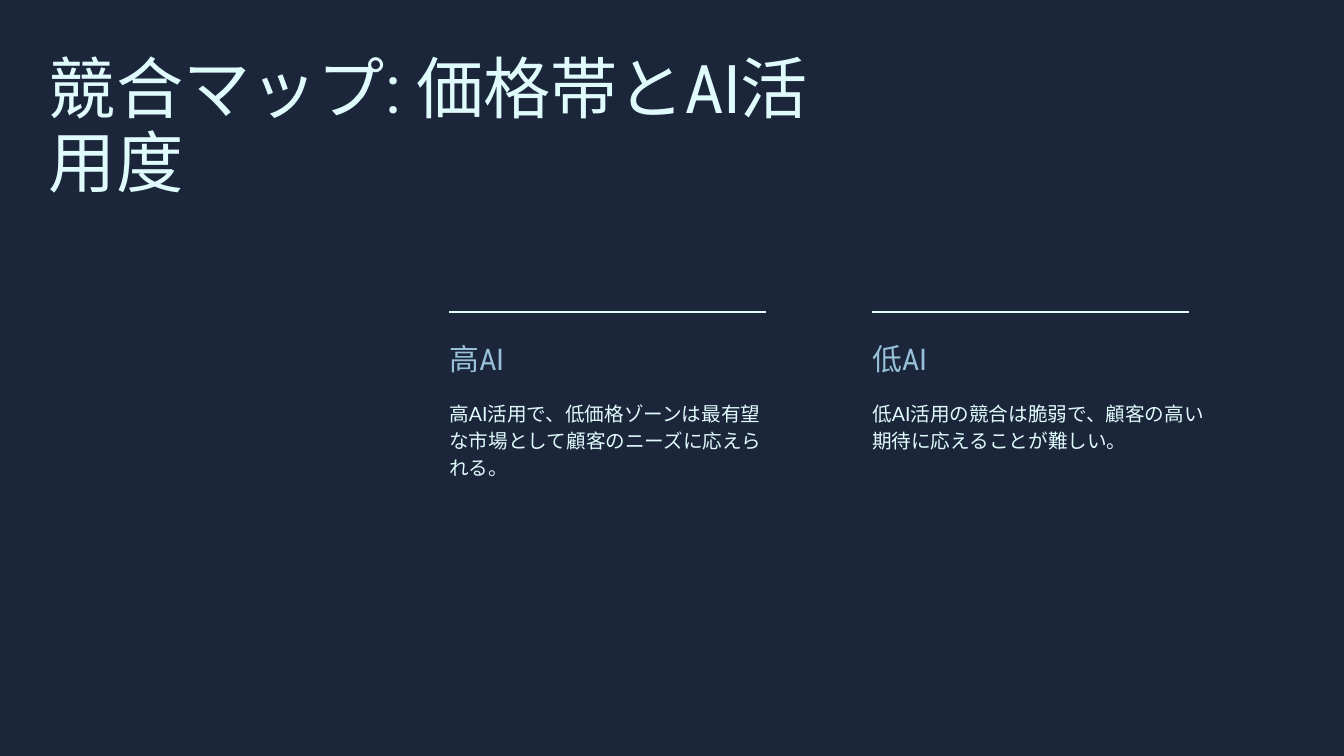
from dataclasses import dataclass

from lxml import etree
from pptx import Presentation, util as u
from pptx.dml.color import RGBColor
from pptx.enum import shapes, text
from pptx.oxml.ns import qn

PX = 9525


@dataclass(frozen=True)
class Style:
    font: str
    size: int
    color: str
    leading: float


@dataclass(frozen=True)
class Theme:
    background: str = "1B263B"
    rule: str = "E0FBFC"
    rule_width: int = 2
    title: Style = Style("Roboto Condensed", 72, "E0FBFC", 79.2)
    heading: Style = Style("Roboto Condensed", 32, "98C1D9", 33.6)
    body: Style = Style("Lato", 21, "E0FBFC", 29.4)


@dataclass(frozen=True)
class Segment:
    heading: str
    body: str
    text_width: int
    body_height: int


THEME = Theme()
SEGMENTS = (
    Segment("高AI", "高AI活用で、低価格ゾーンは最有望な市場として顧客のニーズに応えられる。", 453, 115),
    Segment("低AI", "低AI活用の競合は脆弱で、顧客の高い期待に応えることが難しい。", 485, 76),
)
FIRST_X, PITCH, RULE_LENGTH = 642, 604, 453
RULE_Y, HEADING_Y, BODY_Y, HEADING_HEIGHT = 446, 493, 568, 47


def px(n: int) -> int:
    return u.Emu(n * PX)


def write(sp, content: str, style: Style) -> None:
    tf = sp.text_frame
    tf.text = content
    tf.word_wrap = True
    tf.auto_size = text.MSO_AUTO_SIZE.NONE
    tf.vertical_anchor = text.MSO_ANCHOR.TOP
    tf.margin_left = tf.margin_right = tf.margin_top = tf.margin_bottom = 0
    p = tf.paragraphs[0]
    p.alignment = text.PP_ALIGN.LEFT
    p.line_spacing = u.Pt(style.leading)
    p.space_before = u.Pt(0)
    r = p.runs[0]
    r.font.name = style.font
    r.font.size = u.Pt(style.size)
    r.font.color.rgb = RGBColor.from_string(style.color)
    east_asian = etree.SubElement(r.font._element, qn("a:ea"))
    east_asian.set("typeface", style.font)


def add_rule(group, x: int, y: int, length: int) -> None:
    line = group.shapes.add_connector(
        shapes.MSO_CONNECTOR.STRAIGHT, px(x), px(y), px(x + length), px(y))
    line.line.color.rgb = RGBColor.from_string(THEME.rule)
    line.line.width = u.Pt(THEME.rule_width)
    etree.SubElement(line._element.spPr, qn("a:effectLst"))


def add_segment(s, x: int, segment: Segment) -> None:
    group = s.shapes.add_group_shape()
    for content, y, height, style in (
        (segment.body, BODY_Y, segment.body_height, THEME.body),
        (segment.heading, HEADING_Y, HEADING_HEIGHT, THEME.heading),
    ):
        sp = group.shapes.add_textbox(px(x), px(y), px(segment.text_width), px(height))
        write(sp, content, style)
    add_rule(group, x, RULE_Y, RULE_LENGTH)


def main() -> None:
    prs = Presentation()
    prs.slide_width, prs.slide_height = px(1920), px(1080)
    s = prs.slides.add_slide(prs.slide_layouts[5])
    s.background.fill.solid()
    s.background.fill.fore_color.rgb = RGBColor.from_string(THEME.background)

    title = s.shapes.title
    title.left, title.top, title.width, title.height = map(px, (70, 76, 1176, 214))
    write(title, "競合マップ: 価格帯とAI活用度", THEME.title)

    for i, segment in enumerate(SEGMENTS):
        add_segment(s, FIRST_X + i * PITCH, segment)

    prs.save("out.pptx")


if __name__ == "__main__":
    main()
